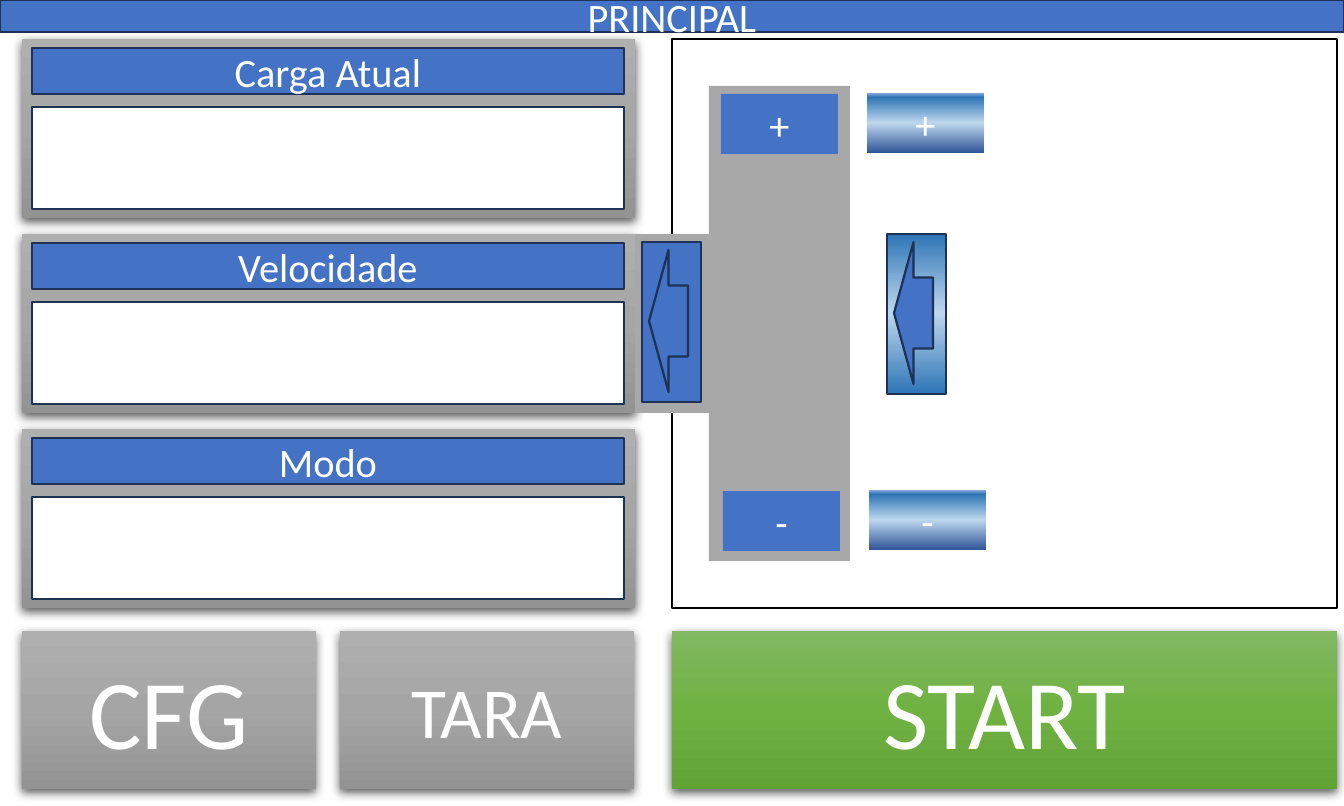
from lxml.etree import SubElement
from pptx import Presentation
from pptx.dml.color import RGBColor
from pptx.enum.shapes import MSO_SHAPE
from pptx.enum.text import MSO_ANCHOR, MSO_AUTO_SIZE, PP_ALIGN
from pptx.oxml.ns import qn
from pptx.util import Emu, Pt

BLUE, NAVY, WHITE, BLACK, GRAY = "4472C4", "1E3256", "FFFFFF", "000000", "A8A8A8"
GRAY_FADE = [(0, "AFAFAF"), (50, "A5A5A5"), (100, "939393")]
GREEN_FADE = [(0, "81B861"), (50, "6FB242"), (100, "62A336")]
KEY_FADE = [(0, "8FAADC"), (7, "2E75B6"), (50, "BDD7EE"), (100, "2F5597")]
ARROW_FADE = [(0, "2E75B6"), (49, "BDD7EE"), (100, "2E75B6")]


def color(value):
    return RGBColor.from_string(value)


class Screen:
    """Draws the elements of an operator screen; lengths are in px."""

    SCALE = 5669  # EMU per px
    FONT = "Calibri"

    def __init__(self, width, height):
        self.presentation = Presentation()
        self.presentation.slide_width = self.px(width)
        self.presentation.slide_height = self.px(height)
        layout = self.presentation.slide_layouts[5]
        self.slide = self.presentation.slides.add_slide(layout)
        self.shapes = self.slide.shapes

    def px(self, length):
        return Emu(length * self.SCALE)

    def title(self, text, left, top, width, height):
        shape = self.slide.shapes.title
        shape.left, shape.top = self.px(left), self.px(top)
        shape.width, shape.height = self.px(width), self.px(height)
        self.paint(shape, BLUE, NAVY)
        self.label(shape, text, 18)

    def box(self, left, top, width, height, fill, line=None, text="", size=18,
            kind=MSO_SHAPE.RECTANGLE):
        shape = self.shapes.add_shape(kind, self.px(left), self.px(top),
                                      self.px(width), self.px(height))
        shape.shadow.inherit = False
        self.paint(shape, fill, line)
        if text:
            self.label(shape, text, size)
        return shape

    def raised(self, left, top, width, height, fill, text="", size=44):
        shape = self.box(left, top, width, height, fill, None, text, size)
        effects = shape._element.spPr.find(qn("a:effectLst"))
        shadow = SubElement(effects, qn("a:outerShdw"), blurRad=str(Pt(4.5)),
                            dist=str(Pt(1.5)), dir="5400000", algn="ctr", rotWithShape="0")
        shade = SubElement(shadow, qn("a:srgbClr"), val=BLACK)
        SubElement(shade, qn("a:alpha"), val="63000")

    def panel(self, top, heading):
        self.raised(22, top, 613, 179, GRAY_FADE)
        self.box(32, top + 9, 592, 46, BLUE, NAVY, heading)
        self.box(32, top + 68, 592, 102, WHITE, NAVY)

    def key(self, left, top, text, fill):
        self.box(left, top, 117, 60, fill, None, text)

    def arrow_key(self, left, top, fill):
        self.start_group()
        self.box(left, top, 59, 160, fill, NAVY)
        arrow = self.box(left + 7, top + 8, 39, 142, BLUE, NAVY, kind=MSO_SHAPE.RIGHT_ARROW)
        arrow.rotation = 180
        self.end_group()

    def start_group(self):
        self.shapes = self.slide.shapes.add_group_shape().shapes

    def end_group(self):
        self.shapes = self.slide.shapes

    def paint(self, shape, fill, line):
        if isinstance(fill, str):
            shape.fill.solid()
            shape.fill.fore_color.rgb = color(fill)
        else:
            self.fade(shape, fill)
        if line:
            shape.line.color.rgb = color(line)
            shape.line.width = Pt(1)
        else:
            shape.line.fill.background()

    def fade(self, shape, stops):
        shape.fill.gradient()
        shape.fill.gradient_angle = 270  # first stop on top
        stop_list = shape._element.spPr.find(qn("a:gradFill")).find(qn("a:gsLst"))
        for old_stop in list(stop_list):
            stop_list.remove(old_stop)
        for position, value in stops:
            stop = SubElement(stop_list, qn("a:gs"), pos=str(position * 1000))
            SubElement(stop, qn("a:srgbClr"), val=value)

    def label(self, shape, text, size):
        frame = shape.text_frame
        frame.text = text
        frame.word_wrap = True
        frame.auto_size = MSO_AUTO_SIZE.NONE
        frame.vertical_anchor = MSO_ANCHOR.MIDDLE
        paragraph = frame.paragraphs[0]
        paragraph.alignment = PP_ALIGN.CENTER
        paragraph.font.name = self.FONT
        paragraph.font.size = Pt(size)
        paragraph.font.color.rgb = color(WHITE)


def main():
    screen = Screen(1344, 806)
    screen.title("PRINCIPAL", 0, 0, 1344, 32)

    # Work area and readout panels
    screen.box(672, 39, 665, 569, WHITE, BLACK)
    for row, heading in enumerate(["Carga Atual", "Velocidade", "Modo"]):
        screen.panel(39 + 195 * row, heading)

    # Bottom buttons
    screen.raised(22, 631, 294, 158, GRAY_FADE, "CFG")
    screen.raised(340, 631, 294, 158, GRAY_FADE, "TARA", 32)
    screen.raised(672, 631, 665, 158, GREEN_FADE, "START")

    # Speed drawer with flat keys
    screen.start_group()
    screen.box(635, 234, 86, 179, GRAY)
    screen.box(709, 86, 141, 475, GRAY)
    screen.key(721, 94, "+", BLUE)
    screen.key(723, 491, "-", BLUE)
    screen.end_group()

    # Shaded keys
    screen.key(867, 93, "+", KEY_FADE)
    screen.key(869, 490, "-", KEY_FADE)

    # Arrow keys
    screen.arrow_key(642, 242, BLUE)
    screen.arrow_key(887, 234, ARROW_FADE)

    screen.presentation.save("out.pptx")


if __name__ == "__main__":
    main()
